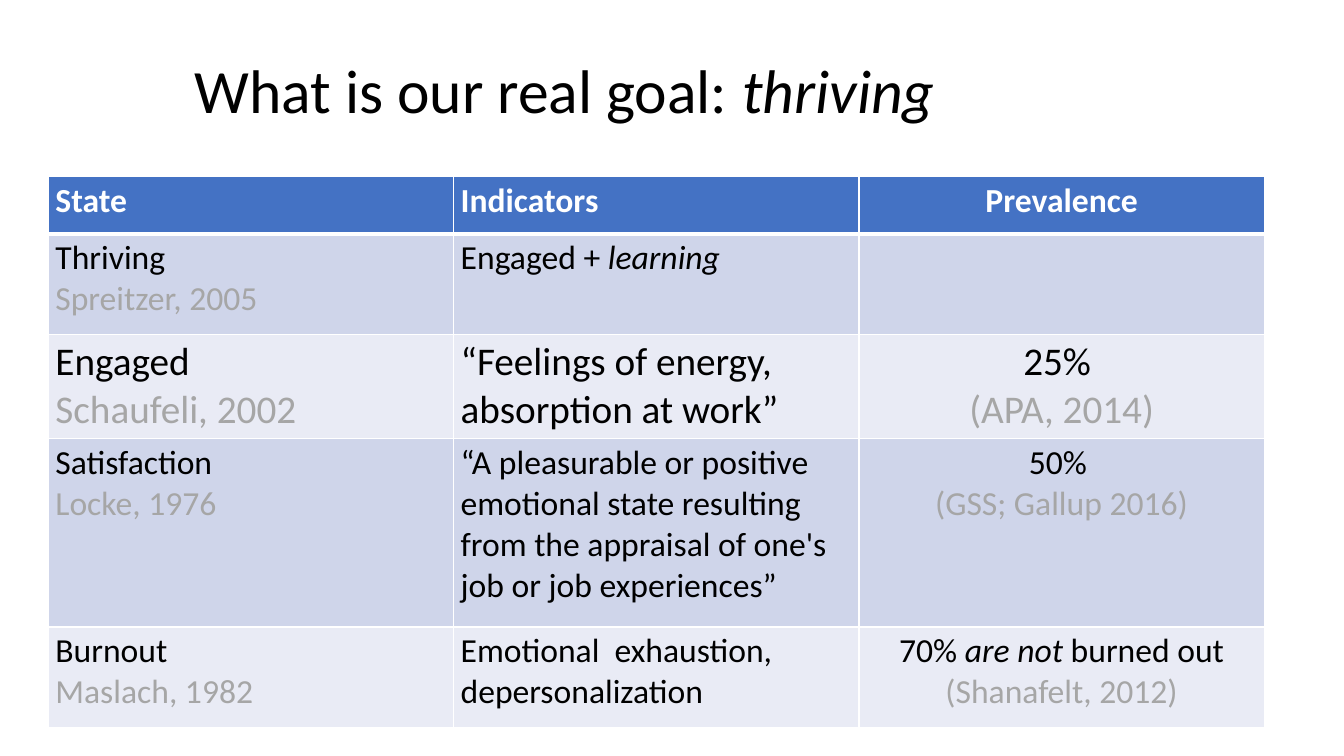
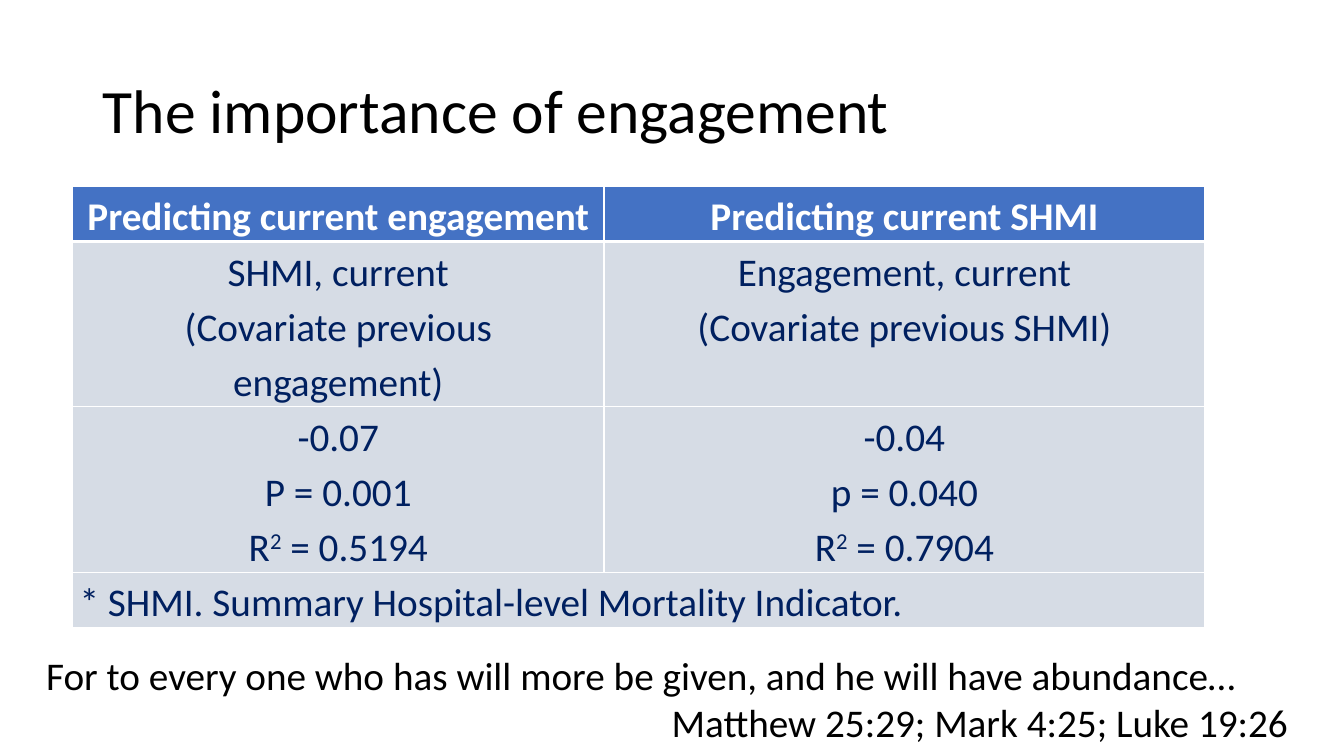
from dataclasses import dataclass

from lxml import etree
from pptx import Presentation
from pptx.dml.color import RGBColor
from pptx.enum.text import MSO_ANCHOR, MSO_AUTO_SIZE, PP_ALIGN
from pptx.oxml.ns import qn
from pptx.util import Inches, Pt

LEFT, CENTER, RIGHT = PP_ALIGN.LEFT, PP_ALIGN.CENTER, PP_ALIGN.RIGHT
MIDDLE = MSO_ANCHOR.MIDDLE
NO_AUTOFIT = MSO_AUTO_SIZE.NONE
TITLE_ONLY = 5


@dataclass(frozen=True)
class Theme:
    font: str = "Calibri"
    title_size: int = 44
    large_size: int = 28
    body_size: int = 24
    text: str = "000000"
    white: str = "FFFFFF"
    header: str = "4472C4"
    band_dark: str = "CFD5EA"
    band_light: str = "E9EBF5"
    source: str = "A6A6A6"
    result_text: str = "002060"
    result_fill: str = "D6DCE5"
    border: float = 1
    header_border: float = 3
    cell_inset: float = 0.07


THEME = Theme()


@dataclass(frozen=True)
class Piece:
    text: str
    color: str = ""
    italic: bool = False
    superscript: bool = False


@dataclass(frozen=True)
class RowStyle:
    fill: str
    color: str
    size: int
    alignments: tuple
    bold: bool = False
    line_spacing: float = 1.0
    vertical_inset: float = 0.04


def source(text):
    return Piece(text, color=THEME.source)


def italic(text):
    return Piece(text, italic=True)


def write_paragraph(paragraph, pieces, size, color, alignment=LEFT, bold=False, line_spacing=1.0):
    paragraph.alignment = alignment
    paragraph.line_spacing = line_spacing
    for piece in pieces if isinstance(pieces, list) else [pieces]:
        if isinstance(piece, str):
            piece = Piece(piece)
        run = paragraph.add_run()
        run.text = piece.text
        run.font.name = THEME.font
        run.font.size = Pt(size)
        run.font.bold = bold
        run.font.italic = piece.italic
        run.font.color.rgb = RGBColor.from_string(piece.color or color)
        if piece.superscript:
            run._r.get_or_add_rPr().set("baseline", "30000")


def paragraphs_for(text_frame, count):
    return [text_frame.paragraphs[0]] + [text_frame.add_paragraph() for _ in range(count - 1)]


def set_borders(cell, top, bottom):
    properties = cell._tc.get_or_add_tcPr()
    widths = {"a:lnL": THEME.border, "a:lnR": THEME.border, "a:lnT": top, "a:lnB": bottom}
    for position, (tag, width) in enumerate(widths.items()):
        line = etree.Element(qn(tag), w=str(Pt(width)))
        fill = etree.SubElement(line, qn("a:solidFill"))
        etree.SubElement(fill, qn("a:srgbClr"), val=THEME.white)
        properties.insert(position, line)


def fill_cell(cell, lines, style, alignment):
    cell.margin_left = cell.margin_right = Inches(THEME.cell_inset)
    cell.margin_top = cell.margin_bottom = Inches(style.vertical_inset)
    cell.fill.solid()
    cell.fill.fore_color.rgb = RGBColor.from_string(style.fill)
    for paragraph, pieces in zip(paragraphs_for(cell.text_frame, len(lines)), lines):
        write_paragraph(paragraph, pieces, style.size, style.color, alignment,
                        style.bold, style.line_spacing)


def add_grid(slide, left, top, column_widths, rows):
    heights = [height for height, _, _ in rows]
    table = slide.shapes.add_table(
        len(rows), len(column_widths), Inches(left), Inches(top),
        Inches(sum(column_widths)), Inches(sum(heights))).table
    table.horz_banding = False
    for column, width in zip(table.columns, column_widths):
        column.width = Inches(width)
    for row_index, (height, style, contents) in enumerate(rows):
        table.rows[row_index].height = Inches(height)
        top_border = THEME.header_border if row_index == 1 else THEME.border
        bottom_border = THEME.header_border if row_index == 0 else THEME.border
        for column_index, lines in enumerate(contents):
            cell = table.cell(row_index, column_index)
            fill_cell(cell, lines, style, style.alignments[column_index])
            set_borders(cell, top_border, bottom_border)
    return table


def add_titled_slide(presentation, pieces, left, top, width, height):
    slide = presentation.slides.add_slide(presentation.slide_layouts[TITLE_ONLY])
    title = slide.shapes.title
    title.left, title.top = Inches(left), Inches(top)
    title.width, title.height = Inches(width), Inches(height)
    text_frame = title.text_frame
    text_frame.auto_size = NO_AUTOFIT
    text_frame.vertical_anchor = MIDDLE
    write_paragraph(text_frame.paragraphs[0], pieces, THEME.title_size, THEME.text,
                    line_spacing=0.9)
    return slide


def add_quotation(slide, left, top, width, height, quotation, reference):
    box = slide.shapes.add_textbox(Inches(left), Inches(top), Inches(width), Inches(height))
    box.text_frame.word_wrap = True
    lines = ((quotation, LEFT), (reference, RIGHT))
    for paragraph, (text, alignment) in zip(paragraphs_for(box.text_frame, len(lines)), lines):
        write_paragraph(paragraph, text, THEME.large_size, THEME.text, alignment)


def build_goal_slide(presentation):
    slide = add_titled_slide(presentation, ["What is our real goal: ", italic("thriving")],
                             1.83, 0.3, 9.67, 1.25)
    alignments = (LEFT, LEFT, CENTER)
    header = RowStyle(THEME.header, THEME.white, THEME.body_size, alignments, bold=True)
    dark = RowStyle(THEME.band_dark, THEME.text, THEME.body_size, alignments)
    light = RowStyle(THEME.band_light, THEME.text, THEME.body_size, alignments)
    emphasis = RowStyle(THEME.band_light, THEME.text, THEME.large_size, alignments)
    add_grid(slide, 0.48, 1.75, [4.02] * 3, [
        (0.57, header, [["State"], ["Indicators"], ["Prevalence"]]),
        (1, dark, [["Thriving", source("Spreitzer, 2005")],
                   [["Engaged + ", italic("learning")]],
                   []]),
        (1.01, emphasis, [["Engaged", source("Schaufeli, 2002")],
                          ["“Feelings of energy, absorption at work”"],
                          ["25% ", source("(APA, 2014)")]]),
        (1.87, dark, [["Satisfaction", source("Locke, 1976")],
                      ["“A pleasurable or positive emotional state resulting from "
                       "the appraisal of one's job or job experiences”"],
                      ["50% ", source("(GSS; Gallup 2016)")]]),
        (1, light, [["Burnout", source("Maslach, 1982")],
                    ["Emotional  exhaustion, depersonalization"],
                    [["70% ", italic("are not "), "burned out ",
                      source("(Shanafelt, 2012)")]]]),
    ])


def build_engagement_slide(presentation):
    slide = add_titled_slide(presentation, "The importance of engagement",
                             0.92, 0.4, 11.5, 1.45)
    spacing = {"line_spacing": 1.15, "vertical_inset": 0}
    header = RowStyle(THEME.header, THEME.white, THEME.large_size, (CENTER, CENTER),
                      bold=True, **spacing)
    result = RowStyle(THEME.result_fill, THEME.result_text, THEME.large_size,
                      (CENTER, CENTER), **spacing)
    footnote = RowStyle(THEME.result_fill, THEME.result_text, THEME.large_size,
                        (LEFT, LEFT), **spacing)
    squared = ["R", Piece("2", superscript=True)]
    table = add_grid(slide, 0.72, 1.85, [5.27, 5.96], [
        (0.54, header, [["Predicting current engagement"], ["Predicting current SHMI"]]),
        (1.64, result, [["SHMI, current", "(Covariate previous engagement)"],
                        ["Engagement, current", "(Covariate previous SHMI)"]]),
        (1.64, result, [["-0.07", "P = 0.001", squared + [" = 0.5194"]],
                        ["-0.04", "p = 0.040", squared + [" = 0.7904"]]]),
        (0.54, footnote, [["* SHMI. Summary Hospital-level Mortality Indicator."], []]),
    ])
    table.cell(3, 0).merge(table.cell(3, 1))
    add_quotation(slide, 0.36, 6.41, 12.6, 1.04,
                  "For to every one who has will more be given, and he will have abundance…",
                  "Matthew 25:29; Mark 4:25; Luke 19:26 ")


def main():
    presentation = Presentation()
    presentation.slide_width = Inches(13.33)
    presentation.slide_height = Inches(7.5)
    build_goal_slide(presentation)
    build_engagement_slide(presentation)
    presentation.save("out.pptx")


if __name__ == "__main__":
    main()
